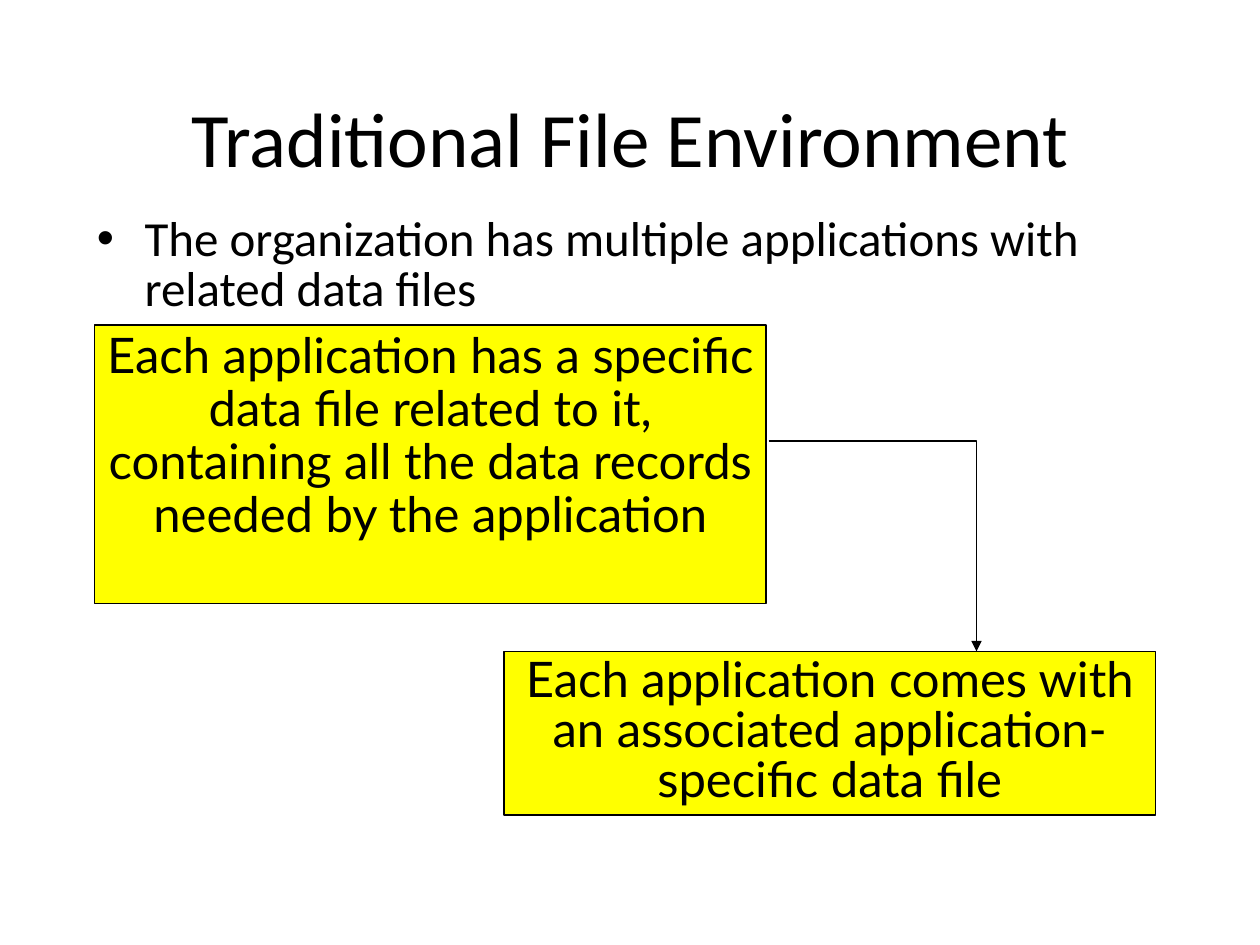
from pptx import Presentation, util as u
from pptx.dml.color import RGBColor
from pptx.enum import shapes, text
from pptx.oxml import parse_xml
from pptx.oxml.ns import nsdecls

THEME = {
    "ink": RGBColor(0, 0, 0),
    "panel": RGBColor(255, 255, 0),
    "heading_font": "Calibri",
    "panel_font": "Lato",
    "title_size": 44,
    "body_size": 28,
    "line_width": 0.75,
}

TITLE = ("Traditional File Environment", (0.67, 0.67, 8.67, 0.83))
BULLET = ("The organization has multiple applications with related data files",
          (0.67, 1.67, 8.67, 0.9))
PANELS = [
    ("Each application has a specific data file related to it, containing all "
     "the data records needed by the application", (0.75, 2.58, 5.33, 2.21), 0.9),
    ("Each application comes with an associated application-specific data file",
     (4, 5.17, 5.17, 1.3), 0.85),
]
ARROW = [(6.1, 3.5), (7.75, 3.5), (7.75, 5.17)]


def apply(target, values):
    for name, value in values.items():
        setattr(target, name, value)


def write(box, wording, font, size, frame_format, paragraph_format):
    frame = box.text_frame
    apply(frame, {"word_wrap": True, **frame_format})
    para = frame.paragraphs[0]
    apply(para, paragraph_format)
    span = para.add_run()
    span.text = wording
    apply(span.font, {"name": font, "size": u.Pt(size)})
    span.font.color.rgb = THEME["ink"]
    return para


def outline(shape):
    shape.shadow.inherit = False
    shape.line.color.rgb = THEME["ink"]
    shape.line.width = u.Pt(THEME["line_width"])


def add_bullet(para, indent):
    properties = para._p.get_or_add_pPr()
    properties.set("marL", str(u.Inches(indent)))
    properties.set("indent", str(-u.Inches(indent)))
    for element in ('buFont {} typeface="Arial"', 'buChar {} char="•"'):
        properties.append(parse_xml(f"<a:{element.format(nsdecls('a'))}/>"))


def add_panel(page, wording, place, spacing):
    panel = page.shapes.add_shape(shapes.MSO_SHAPE.RECTANGLE, *map(u.Inches, place))
    outline(panel)
    panel.fill.solid()
    panel.fill.fore_color.rgb = THEME["panel"]
    write(panel, wording, THEME["panel_font"], THEME["body_size"],
          {"vertical_anchor": text.MSO_ANCHOR.TOP},
          {"alignment": text.PP_ALIGN.CENTER, "line_spacing": spacing})


def add_arrow(page, points):
    start, *corners = [(u.Inches(x), u.Inches(y)) for x, y in points]
    builder = page.shapes.build_freeform(*start)
    builder.add_line_segments(corners, close=False)
    arrow = builder.convert_to_shape()
    outline(arrow)
    arrow.fill.background()
    arrow.line._get_or_add_ln().append(
        parse_xml(f'<a:tailEnd {nsdecls("a")} type="triangle"/>'))


def main():
    deck = Presentation()
    apply(deck, {"slide_width": u.Inches(10), "slide_height": u.Inches(7.5)})
    page = deck.slides.add_slide(deck.slide_layouts[6])

    wording, place = TITLE
    title = page.shapes.add_textbox(*map(u.Inches, place))
    write(title, wording, THEME["heading_font"], THEME["title_size"],
          {"vertical_anchor": text.MSO_ANCHOR.MIDDLE},
          {"alignment": text.PP_ALIGN.CENTER})

    wording, place = BULLET
    body = page.shapes.add_textbox(*map(u.Inches, place))
    para = write(body, wording, THEME["heading_font"], THEME["body_size"],
                 {"vertical_anchor": text.MSO_ANCHOR.TOP}, {"line_spacing": 0.85})
    add_bullet(para, 0.38)

    for panel in PANELS:
        add_panel(page, *panel)
    add_arrow(page, ARROW)
    deck.save("out.pptx")


if __name__ == "__main__":
    main()
